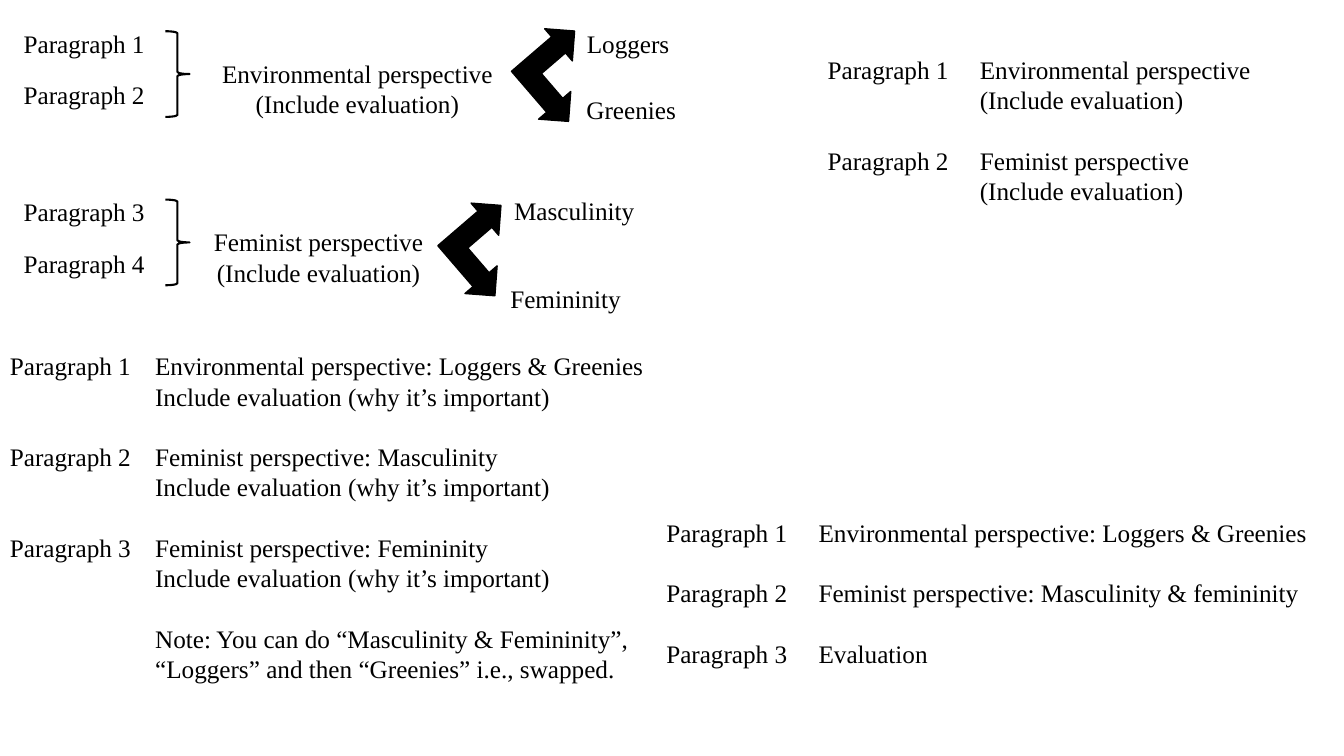
from pptx import Presentation
from pptx.dml.color import RGBColor
from pptx.enum.shapes import MSO_SHAPE
from pptx.enum.text import MSO_AUTO_SIZE, PP_ALIGN
from pptx.util import Inches, Pt

RIGHT_BRACE = MSO_SHAPE.RIGHT_BRACE
LEFT_UP_ARROW = MSO_SHAPE.LEFT_UP_ARROW
GROW = MSO_AUTO_SIZE.SHAPE_TO_FIT_TEXT
LEFT, CENTER = PP_ALIGN.LEFT, PP_ALIGN.CENTER

BLACK = "000000"
FONT = "Times New Roman"
LINE_PITCH = 21.6  # points
LABEL_WIDTH = 1.51
EVALUATION = "(Include evaluation)"
WHY = "Include evaluation (why it’s important)"


def color(hex_code):
    return RGBColor.from_string(hex_code)


def add_text(slide, left, top, width, blocks, gap=0, align=LEFT):
    """Write blocks of lines, with `gap` empty line heights between blocks."""
    line_count = sum(map(len, blocks)) + gap * (len(blocks) - 1)
    height = 0.1 + line_count * LINE_PITCH / 72
    box = slide.shapes.add_textbox(
        Inches(left), Inches(top), Inches(width), Inches(height))
    frame = box.text_frame
    frame.word_wrap = False
    frame.auto_size = GROW
    paragraph = frame.paragraphs[0]
    for block_index, block in enumerate(blocks):
        for line_index, line in enumerate(block):
            if block_index or line_index:
                paragraph = frame.add_paragraph()
            if block_index and line_index == 0:
                paragraph.space_before = Pt(gap * LINE_PITCH)
            paragraph.alignment = align
            paragraph.line_spacing = Pt(LINE_PITCH)
            run = paragraph.add_run()
            run.text = line
            run.font.name = FONT
            run.font.size = Pt(18)
            run.font.color.rgb = color(BLACK)


def add_paragraph_labels(slide, left, top, count, gap):
    labels = [[f"Paragraph {number}"] for number in range(1, count + 1)]
    add_text(slide, left, top, LABEL_WIDTH, labels, gap)


def add_outlined_shape(slide, kind, left, top, width, height, line_width):
    shape = slide.shapes.add_shape(
        kind, Inches(left), Inches(top), Inches(width), Inches(height))
    shape.shadow.inherit = False
    shape.line.color.rgb = color(BLACK)
    shape.line.width = Pt(line_width)
    return shape


def add_brace(slide, top):
    brace = add_outlined_shape(slide, RIGHT_BRACE, 1.64, top, 0.24, 0.85, 1.5)
    brace.fill.background()


def add_fork(slide, left, top):
    fork = add_outlined_shape(slide, LEFT_UP_ARROW, left, top, 0.84, 0.85, 1)
    fork.fill.solid()
    fork.fill.fore_color.rgb = color(BLACK)
    fork.rotation = 139.3


def add_perspective(slide, top, first_number, title, fork, sides):
    """Two bracketed paragraphs leading to a perspective that forks in two."""
    for offset in (0, 1):
        add_text(slide, 0.08, top + 0.51 * offset, LABEL_WIDTH,
                 [[f"Paragraph {first_number + offset}"]], align=CENTER)
    add_brace(slide, top + 0.08)
    name, left, width = title
    add_text(slide, left, top + 0.3, width, [[name, EVALUATION]], align=CENTER)
    add_fork(slide, *fork)
    for side, side_left, side_top, side_width in sides:
        add_text(slide, side_left, side_top, side_width, [[side]], align=CENTER)


def main():
    prs = Presentation()
    prs.slide_width, prs.slide_height = Inches(13.33), Inches(7.5)
    slide = prs.slides.add_slide(prs.slide_layouts[6])

    add_perspective(
        slide, 0.23, 1, ("Environmental perspective", 1.99, 3.11), (5.1, 0.32),
        [("Loggers", 5.7, 0.23, 1.06), ("Greenies", 5.69, 0.89, 1.14)])
    add_perspective(
        slide, 1.9, 3, ("Feminist perspective", 1.94, 2.44), (4.37, 2.05),
        [("Masculinity", 4.97, 1.89, 1.45), ("Femininity", 4.93, 2.76, 1.36)])

    add_paragraph_labels(slide, 0, 3.43, count=3, gap=2)
    add_text(slide, 1.44, 3.43, 5.31, [
        ["Environmental perspective: Loggers & Greenies", WHY],
        ["Feminist perspective: Masculinity", WHY],
        ["Feminist perspective: Femininity", WHY],
        ["Note: You can do “Masculinity & Femininity”,",
         "“Loggers” and then “Greenies” i.e., swapped."],
    ], gap=1)

    add_paragraph_labels(slide, 8.11, 0.49, count=2, gap=2)
    add_text(slide, 9.62, 0.49, 3.11, [
        ["Environmental perspective", EVALUATION],
        ["Feminist perspective", EVALUATION],
    ], gap=1)

    add_paragraph_labels(slide, 6.51, 5.08, count=3, gap=1)
    add_text(slide, 8.02, 5.08, 5.31, [
        ["Environmental perspective: Loggers & Greenies"],
        ["Feminist perspective: Masculinity & femininity"],
        ["Evaluation"],
    ], gap=1)

    prs.save("out.pptx")


if __name__ == "__main__":
    main()
